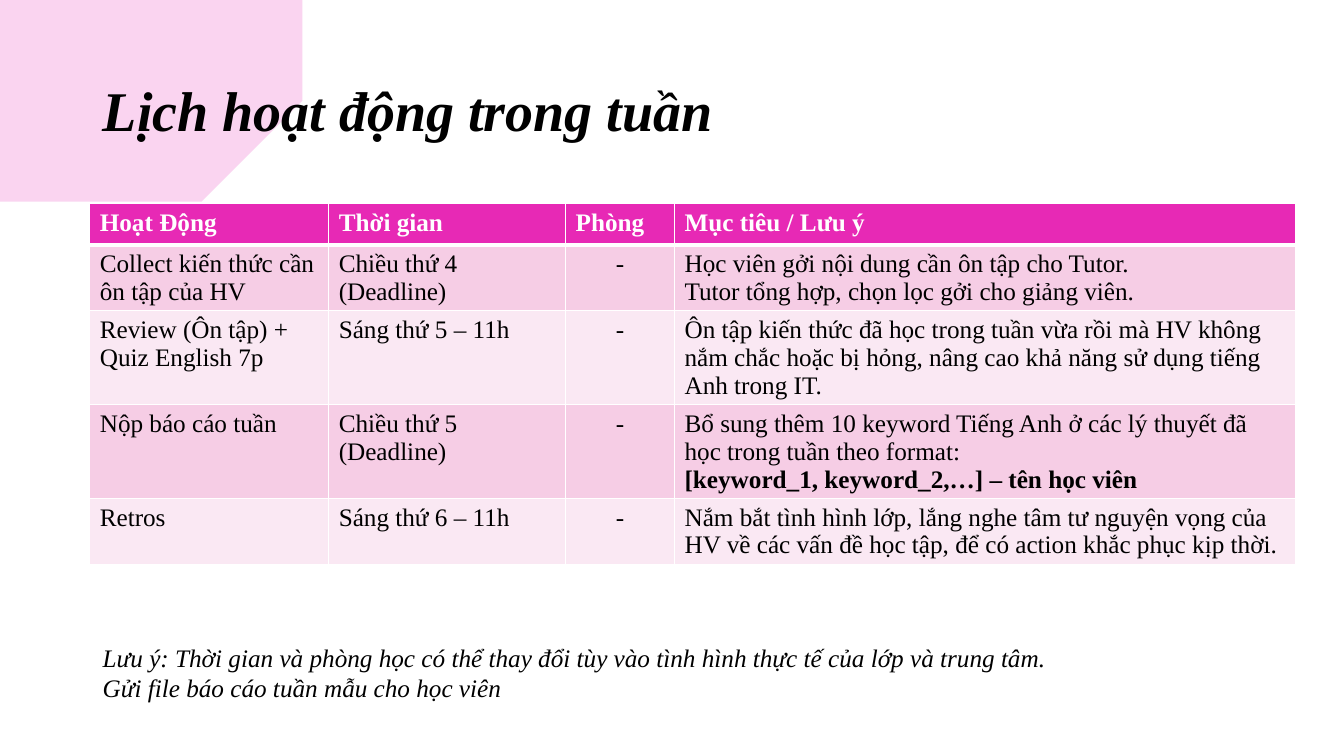
import dataclasses

import lxml.etree
import pptx
import pptx.dml.color
import pptx.enum.text
import pptx.oxml.ns
import pptx.slide
import pptx.table
import pptx.text.text
import pptx.util

FONT = "Times New Roman"
COLORS = {
    "accent": "E729B5",
    "odd row": "F6CDE5",
    "even row": "FAE8F3",
    "text": "000000",
    "white": "FFFFFF",
}
COLUMN_WIDTHS = (2.37, 2.35, 1.08, 6.16)
HEADER_HEIGHT = 0.41
LINE_HEIGHT = 0.28
CELL_PADDING = 0.09
ROOM_COLUMN = 2
HEADINGS = ("Hoạt Động", "Thời gian", "Phòng", "Mục tiêu / Lưu ý")

BRUSH_OUTLINE = [
    (0, 0.34), (0.25, 0.37), (0.66, 0.38), (1.02, 0.37), (1.51, 0.38), (1.94, 0.41),
    (2.48, 0.41), (2.68, 0.41), (2.8, 0.47), (2.71, 0.49), (2.55, 0.54), (2.53, 0.57),
    (2.56, 0.59), (2.62, 0.62), (2.46, 0.63), (2.38, 0.66), (2.46, 0.68), (2.56, 0.7),
    (2.66, 0.71), (2.75, 0.74), (2.51, 0.75), (2.63, 0.78), (2.73, 0.81), (2.8, 0.82),
    (2.88, 0.83), (2.9, 0.85), (2.87, 0.88), (2.84, 0.88), (2.63, 0.88), (2.9, 0.92),
    (3.3, 0.94), (3.21, 0.97), (3.18, 1.06), (3.07, 1.11), (3, 1.13), (2.83, 1.16),
    (2.8, 1.2), (2.78, 1.25), (2.74, 1.28), (3.08, 1.28), (2.69, 1.38), (2.73, 1.42),
    (2.52, 1.48), (2.63, 1.48), (2.3, 1.62), (1.97, 1.72), (1.02, 1.88), (0.65, 1.91),
    (0.23, 1.9), (0, 1.88),
]


@dataclasses.dataclass
class Activity:
    name: str
    time: str
    goal: str
    line_count: int
    report_format: str = ""


ACTIVITIES = [
    Activity("Collect kiến thức cần ôn tập của HV", "Chiều thứ 4 (Deadline)",
             "Học viên gởi nội dung cần ôn tập cho Tutor.\n"
             "Tutor tổng hợp, chọn lọc gởi cho giảng viên.", 2),
    Activity("Review (Ôn tập) + Quiz English 7p", "Sáng thứ 5 – 11h",
             "Ôn tập kiến thức đã học trong tuần vừa rồi mà HV không nắm chắc hoặc bị hỏng, "
             "nâng cao khả năng sử dụng tiếng Anh trong IT.", 3),
    Activity("Nộp báo cáo tuần", "Chiều thứ 5\n(Deadline)",
             "Bổ sung thêm 10 keyword Tiếng Anh ở các lý thuyết đã học trong tuần theo format:",
             3, "[keyword_1, keyword_2,…] – tên học viên"),
    Activity("Retros", "Sáng thứ 6 – 11h",
             "Nắm bắt tình hình lớp, lắng nghe tâm tư nguyện vọng của HV về các vấn đề học tập, "
             "để có action khắc phục kịp thời.", 2),
]


def rgb(name: str) -> pptx.dml.color.RGBColor:
    return pptx.dml.color.RGBColor.from_string(COLORS[name])


def format_text(frame: pptx.text.text.TextFrame, size: float, color: str = "text",
                bold: bool = False, italic: bool = False) -> None:
    for paragraph in frame.paragraphs:
        font = paragraph.font
        font.name, font.size = FONT, pptx.util.Pt(size)
        font.bold, font.italic = bold, italic
        font.color.rgb = rgb(color)


def add_borders(cell: pptx.table._Cell, bottom_width: float) -> None:
    properties = cell._tc.get_or_add_tcPr()
    qualified = pptx.oxml.ns.qn
    for side, width in (("L", 1), ("R", 1), ("T", 1), ("B", bottom_width)):
        line = lxml.etree.SubElement(properties, qualified(f"a:ln{side}"),
                                     w=str(pptx.util.Pt(width)))
        fill = lxml.etree.SubElement(line, qualified("a:solidFill"))
        lxml.etree.SubElement(fill, qualified("a:srgbClr"), val=COLORS["white"])


def fill_cell(cell: pptx.table._Cell, text: str, fill: str, header: bool = False) -> None:
    cell.text = text
    format_text(cell.text_frame, 18, "white" if header else "text", bold=header)
    add_borders(cell, 3 if header else 1)
    cell.fill.solid()
    cell.fill.fore_color.rgb = rgb(fill)


def add_brush(slide: pptx.slide.Slide) -> None:
    builder = slide.shapes.build_freeform(*BRUSH_OUTLINE[0], scale=pptx.util.Inches(1))
    builder.add_line_segments(BRUSH_OUTLINE[1:], close=True)
    brush = builder.convert_to_shape()
    brush.shadow.inherit = False
    brush.line.fill.background()
    brush.fill.solid()
    brush.fill.fore_color.rgb = rgb("accent")
    color = brush.element.find(".//" + pptx.oxml.ns.qn("a:srgbClr"))
    lxml.etree.SubElement(color, pptx.oxml.ns.qn("a:alpha"), val="20000")
    # Place the brush stroke behind the title
    slide.shapes.title.element.addprevious(brush.element)


def add_title(slide: pptx.slide.Slide) -> None:
    title = slide.shapes.title
    title.left, title.top = pptx.util.Inches(0.92), pptx.util.Inches(0.4)
    title.width, title.height = pptx.util.Inches(11.5), pptx.util.Inches(1.45)
    frame = title.text_frame
    frame.text = "Lịch hoạt động trong tuần"
    frame.auto_size = pptx.enum.text.MSO_AUTO_SIZE.NONE
    frame.vertical_anchor = pptx.enum.text.MSO_ANCHOR.MIDDLE
    frame.paragraphs[0].alignment = pptx.enum.text.PP_ALIGN.LEFT
    frame.paragraphs[0].line_spacing = 0.9
    format_text(frame, 40, bold=True, italic=True)


def add_schedule(slide: pptx.slide.Slide) -> None:
    heights = [HEADER_HEIGHT] + [
        activity.line_count * LINE_HEIGHT + CELL_PADDING for activity in ACTIVITIES]
    table = slide.shapes.add_table(
        len(heights), len(COLUMN_WIDTHS), pptx.util.Inches(0.89), pptx.util.Inches(2.02),
        pptx.util.Inches(sum(COLUMN_WIDTHS)), pptx.util.Inches(sum(heights))).table
    for column, width in zip(table.columns, COLUMN_WIDTHS):
        column.width = pptx.util.Inches(width)
    for row, height in zip(table.rows, heights):
        row.height = pptx.util.Inches(height)

    for column, heading in enumerate(HEADINGS):
        fill_cell(table.cell(0, column), heading, "accent", header=True)

    for row, activity in enumerate(ACTIVITIES, start=1):
        fill = "odd row" if row % 2 else "even row"
        texts = (activity.name, activity.time, "-", activity.goal)
        for column, text in enumerate(texts):
            fill_cell(table.cell(row, column), text, fill)
        room = table.cell(row, ROOM_COLUMN).text_frame.paragraphs[0]
        room.alignment = pptx.enum.text.PP_ALIGN.CENTER
        if activity.report_format:
            goal = table.cell(row, len(texts) - 1).text_frame.paragraphs[0]
            goal.add_line_break()
            run = goal.add_run()
            run.text = activity.report_format
            run.font.bold = True


def add_note(slide: pptx.slide.Slide) -> None:
    note = slide.shapes.add_textbox(pptx.util.Inches(0.92), pptx.util.Inches(6.32),
                                    pptx.util.Inches(11.34), pptx.util.Inches(1.01))
    frame = note.text_frame
    frame.word_wrap = True
    frame.auto_size = pptx.enum.text.MSO_AUTO_SIZE.SHAPE_TO_FIT_TEXT
    frame.text = ("Lưu ý: Thời gian và phòng học có thể thay đổi tùy vào tình hình thực tế "
                  "của lớp và trung tâm.\nGửi file báo cáo tuần mẫu cho học viên")
    format_text(frame, 18, italic=True)


def main() -> None:
    presentation = pptx.Presentation()
    presentation.slide_width = pptx.util.Inches(13.33)
    presentation.slide_height = pptx.util.Inches(7.5)
    title_only_layout = presentation.slide_layouts[5]
    slide = presentation.slides.add_slide(title_only_layout)
    add_brush(slide)
    add_title(slide)
    add_schedule(slide)
    add_note(slide)
    presentation.save("out.pptx")


if __name__ == "__main__":
    main()
